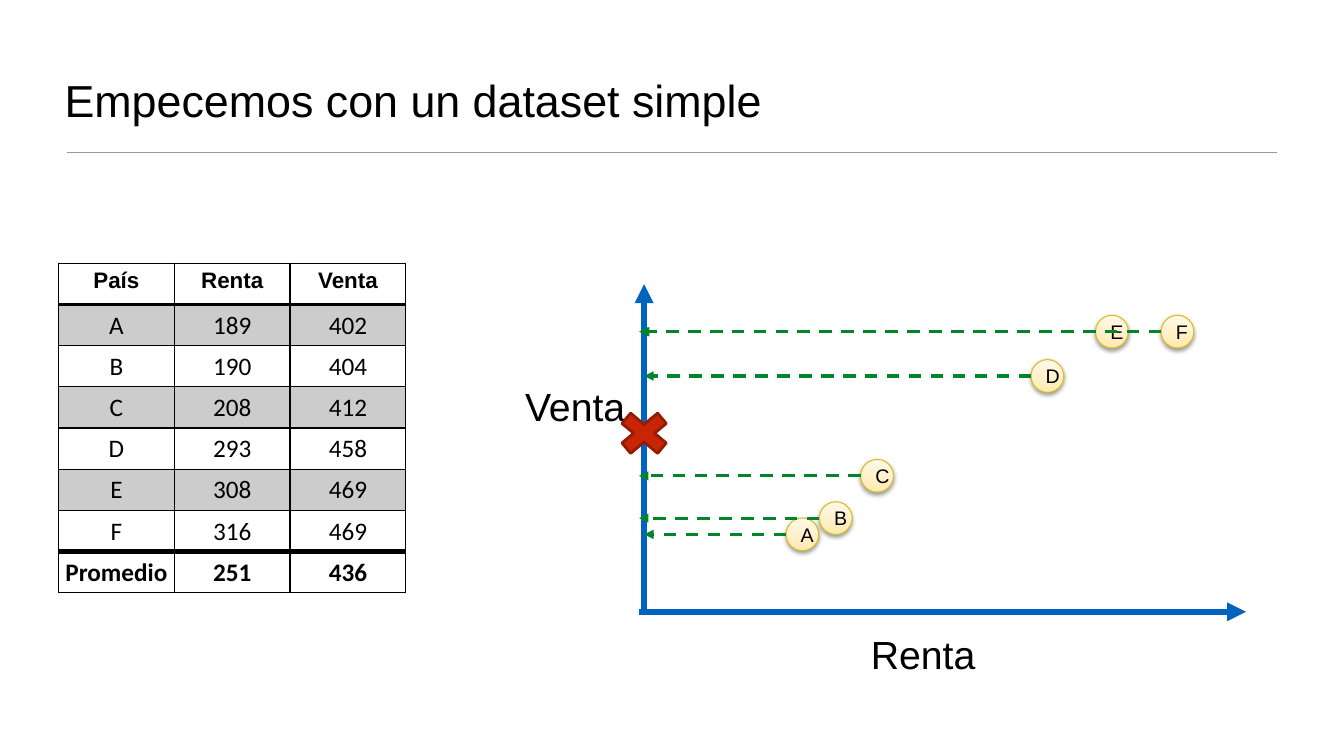
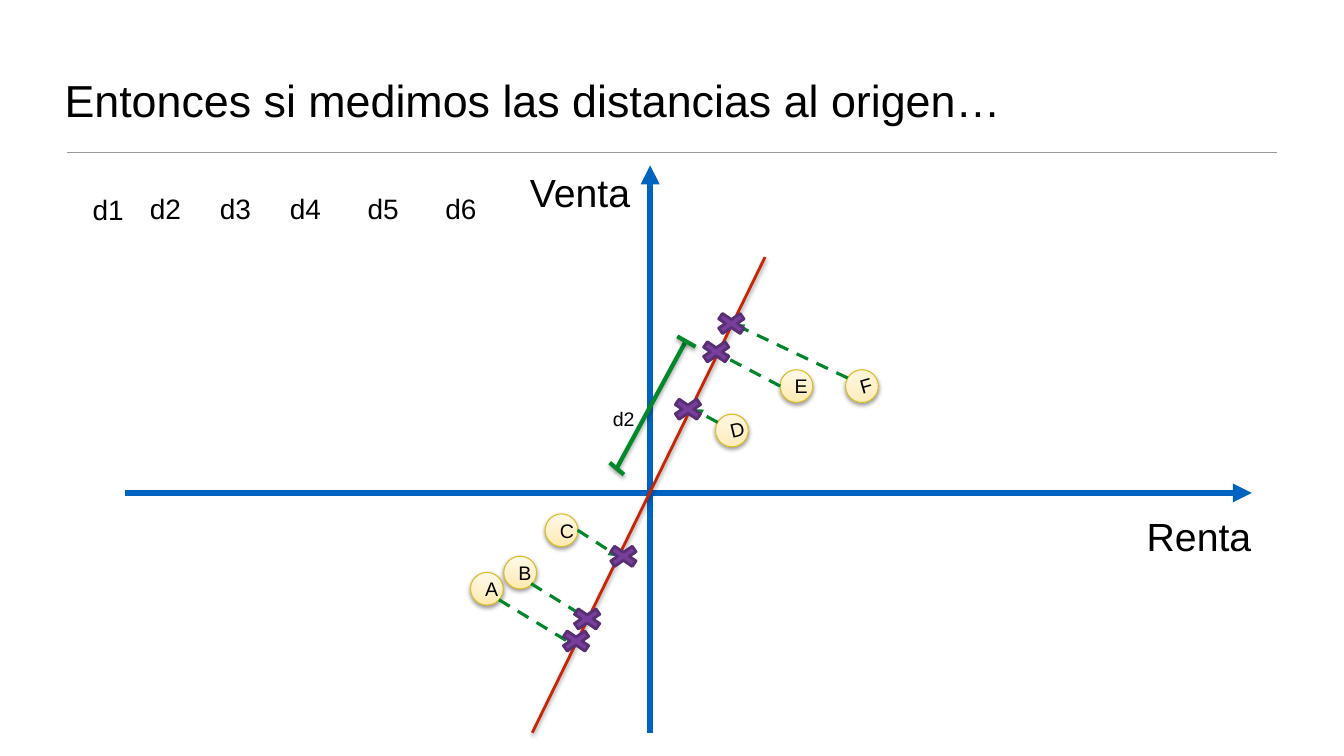
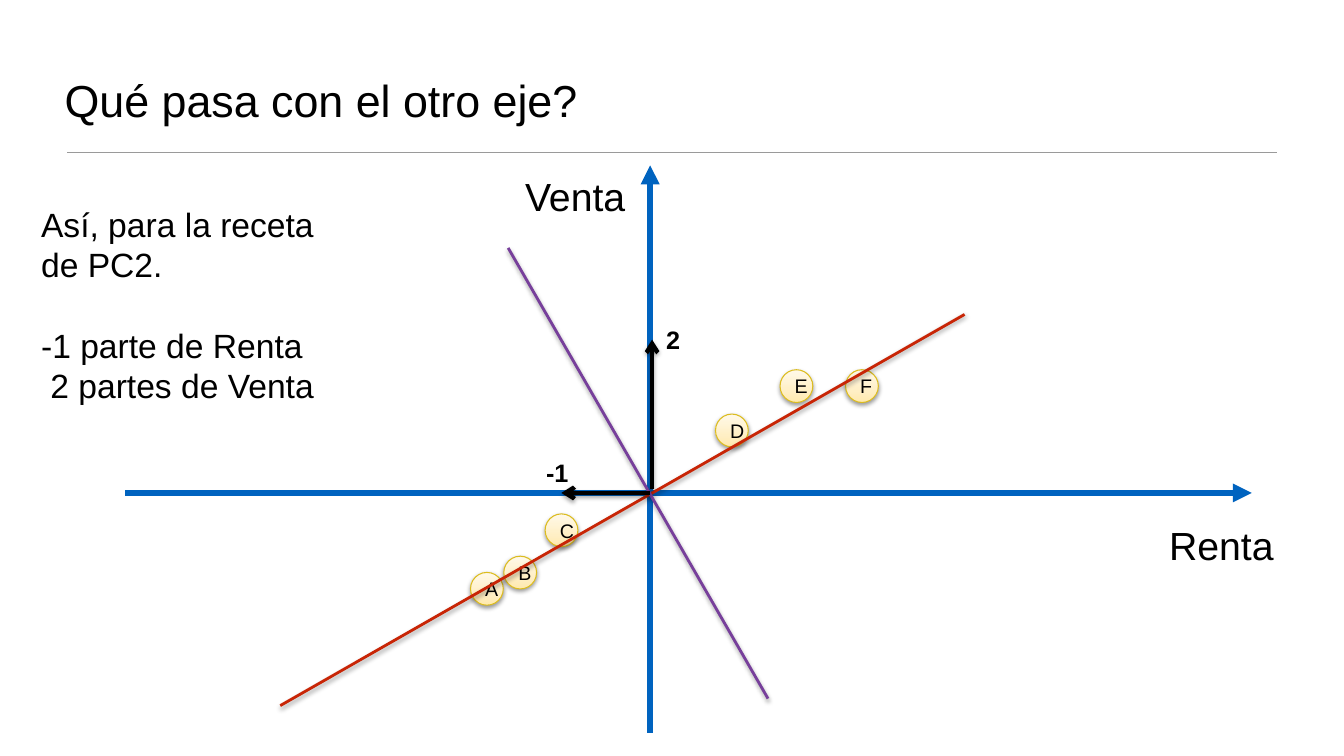
from lxml.etree import SubElement
from pptx import Presentation
from pptx.dml.color import RGBColor
from pptx.enum.dml import MSO_LINE
from pptx.enum.shapes import MSO_CONNECTOR, MSO_SHAPE
from pptx.enum.text import MSO_ANCHOR as Anchor, PP_ALIGN as Align
from pptx.oxml.ns import qn
from pptx.util import Pt

COLORS = {
    "text": "000000", "rule": "9A9A9A", "axis": "0063BF", "band": "CCCCCC",
    "projection": "00852A", "distance": "00882B",
    "red": "C82506", "dark_red": "941B04",
    "purple": "773F9B", "dark_purple": "582F73",
    "dot_edge": "DCBC1E",
}
DOT_GRADIENT = [(0, "FFE9AD"), (35, "FFEFC5"), (100, "FFF9E9")]
SOFT, STRONG = (1.6, 38), (1.8, 35)  # shadow distance in points, opacity in percent
DOT_SIZE = 23.4
ORIGIN = (464.4, 352.1)
MEAN = (689.8, 313.2)

# Centre of each country's dot, measured from the mean of the data
DOTS = {
    "A": (-116.6, 68.5), "B": (-92.8, 56.9), "C": (-63.3, 26.7),
    "D": (58.4, -44.6), "E": (104.5, -76.3), "F": (151.3, -76.3),
}
ROWS = [
    ("País", "Renta", "Venta"),
    ("A", "189", "402"), ("B", "190", "404"), ("C", "208", "412"),
    ("D", "293", "458"), ("E", "308", "469"), ("F", "316", "469"),
    ("Promedio", "251", "436"),
]


def rgb(name):
    return RGBColor.from_string(COLORS[name])


def write(frame, text, size=14, font="Arial", color="text", bold=False, align=None,
          spacing=None, tabs=(), first=True, before=0, indent=0):
    """Add one formatted paragraph to a text frame."""
    para = frame.paragraphs[0] if first else frame.add_paragraph()
    if tabs:
        tab_list = SubElement(para._p.get_or_add_pPr(), qn("a:tabLst"))
        for stop in tabs:
            SubElement(tab_list, qn("a:tab"), pos=str(Pt(stop)), algn="l")
    if indent:
        para._p.get_or_add_pPr().set("marL", str(Pt(indent)))
    if align is not None:
        para.alignment = align
    if spacing:
        para.line_spacing = Pt(spacing)
    if before:
        para.space_before = Pt(before)
    span = para.add_run()
    span.text = text
    span.font.size, span.font.name, span.font.bold = Pt(size), font, bold
    span.font.color.rgb = rgb(color)


def cast_shadow(effects, shadow):
    distance, opacity = shadow
    outer = SubElement(effects, qn("a:outerShdw"), blurRad=str(Pt(3.1)),
                       dist=str(Pt(distance)), dir="5400000", rotWithShape="0")
    black = SubElement(outer, qn("a:srgbClr"), val=COLORS["text"])
    SubElement(black, qn("a:alpha"), val=str(opacity * 1000))


def draw_borders(cell, top, bottom):
    properties = cell._tc.get_or_add_tcPr()
    for side, width in (("L", 1), ("R", 1), ("T", top), ("B", bottom)):
        edge = SubElement(properties, qn(f"a:ln{side}"), w=str(Pt(width)))
        fill = SubElement(edge, qn("a:solidFill"))
        SubElement(fill, qn("a:srgbClr"), val=COLORS["text"])


class Slides:
    def __init__(self):
        self.deck = Presentation()
        self.deck.slide_width, self.deck.slide_height = Pt(960), Pt(540)
        self.slide = None

    def start(self, title):
        self.slide = self.deck.slides.add_slide(self.deck.slide_layouts[6])
        self.line((48, 109), (912, 109), "rule", 1)
        frame = self.text(title, 41.8, 18, 876.2, 77, size=32, wrap=True)
        frame.vertical_anchor = Anchor.BOTTOM
        frame.margin_left = frame.margin_right = Pt(4.3)
        frame.margin_top = frame.margin_bottom = Pt(4.3)

    def text(self, text, left, top, width, height, wrap=False, **style):
        box = self.slide.shapes.add_textbox(Pt(left), Pt(top), Pt(width), Pt(height))
        box.text_frame.word_wrap = wrap
        write(box.text_frame, text, **style)
        return box.text_frame

    def line(self, start, end, color, width, dash=False, tail=None, shadow=None):
        link = self.slide.shapes.add_connector(
            MSO_CONNECTOR.STRAIGHT, *(Pt(value) for value in (*start, *end)))
        link.line.color.rgb = rgb(color)
        link.line.width = Pt(width)
        if dash:
            link.line.dash_style = MSO_LINE.DASH
        if tail:
            SubElement(link.line._get_or_add_ln(), qn("a:tailEnd"), type=tail)
        effects = SubElement(link._element.spPr, qn("a:effectLst"))
        if shadow:
            cast_shadow(effects, shadow)

    def axis(self, start, end):
        self.line(start, end, "axis", 4.5, tail="triangle")

    def projection(self, start, end):
        self.line(start, end, "projection", 2.25, dash=True, tail="triangle")

    def centred_shape(self, kind, center, width, height, edge, edge_width):
        x, y = center
        shape = self.slide.shapes.add_shape(
            kind, Pt(x - width / 2), Pt(y - height / 2), Pt(width), Pt(height))
        shape.shadow.inherit = False
        shape.line.color.rgb = rgb(edge)
        shape.line.width = Pt(edge_width)
        return shape

    def cross(self, center, width, height, color):
        shape = self.centred_shape(MSO_SHAPE.MATH_MULTIPLY, center, width, height,
                                   f"dark_{color}", 2)
        shape.fill.solid()
        shape.fill.fore_color.rgb = rgb(color)

    def dot(self, letter, center, rotation=0):
        shape = self.centred_shape(MSO_SHAPE.OVAL, center, DOT_SIZE, DOT_SIZE,
                                   "dot_edge", 0.75)
        shape.rotation = rotation
        shape.fill.gradient()
        shape.fill.gradient_angle = 90
        properties = shape._element.spPr
        stops = properties.find(".//" + qn("a:gsLst"))
        for stop in list(stops):
            stops.remove(stop)
        for position, color in DOT_GRADIENT:
            stop = SubElement(stops, qn("a:gs"), pos=str(position * 1000))
            SubElement(stop, qn("a:srgbClr"), val=color)
        cast_shadow(properties.find(qn("a:effectLst")), SOFT)
        shape.text_frame.word_wrap = True
        shape.text_frame.vertical_anchor = Anchor.MIDDLE
        write(shape.text_frame, letter, align=Align.CENTER)

    def dots(self, mean, rotations=None):
        for letter, (x, y) in DOTS.items():
            self.dot(letter, (mean[0] + x, mean[1] + y), (rotations or {}).get(letter, 0))

    def centred_axes(self):
        x, y = ORIGIN
        self.axis((89.3, y), (894.2, y))
        self.axis((x, 523.4), (x, 118.1))

    def axis_names(self, renta, venta):
        self.text("Renta", *renta, 90, 41, size=28)
        self.text("Venta", *venta, 88.6, 41, size=28)

    def table(self, rows, left, top, column_width, row_height):
        last = len(rows) - 1
        grid = self.slide.shapes.add_table(
            len(rows), len(rows[0]), Pt(left), Pt(top),
            Pt(column_width * len(rows[0])), Pt(row_height * len(rows))).table
        grid.first_row = grid.horz_banding = False
        rules = [1, 2] + [1] * (last - 2) + [4, 1]
        for column in grid.columns:
            column.width = Pt(column_width)
        for number, values in enumerate(rows):
            grid.rows[number].height = Pt(row_height)
            header = number == 0
            for cell, value in zip(grid.rows[number].cells, values):
                draw_borders(cell, rules[number], rules[number + 1])
                if number % 2 and number < last:
                    cell.fill.solid()
                    cell.fill.fore_color.rgb = rgb("band")
                else:
                    cell.fill.background()
                if not header:
                    cell.vertical_anchor = Anchor.MIDDLE
                    cell.margin_left = cell.margin_right = cell.margin_top = Pt(0.7)
                    cell.margin_bottom = Pt(0)
                write(cell.text_frame, value, size=16 if header else 18,
                      font="Arial" if header else "Calibri",
                      bold=number in (0, last), align=Align.CENTER)


def simple_dataset(slides):
    slides.start("Empecemos con un dataset simple")
    slides.table(ROWS, 41.8, 188, 82.7, 29.45)
    slides.axis((456.5, 437), (890, 437))
    slides.dots(MEAN)
    slides.axis((460.1, 437), (460.1, 203))
    slides.axis_names((615, 447), (368, 269.3))
    arrow_ends = {"A": 460.1, "B": 456.5, "C": 456.5, "D": 460.1, "E": 456.5, "F": 457.2}
    for letter, end in arrow_ends.items():
        x, y = DOTS[letter]
        height = MEAN[1] + y
        slides.projection((MEAN[0] + x - DOT_SIZE / 2, height), (end, height))
    slides.cross((460.1, 309.5), 49, 41, "red")


def distances(slides):
    slides.start("Entonces si medimos las distancias al origen…")
    slides.dots(ORIGIN, {"D": 346.3, "F": 343.9})
    slides.centred_axes()
    slides.axis_names((812, 362.2), (371.5, 116.6))
    slides.line((546.5, 183.6), (380.2, 523.4), "red", 2, shadow=SOFT)
    projections = [
        ((605.5, 270), (524.9, 231.8)), ((557.3, 275.8), (513.4, 252.7)),
        ((512.6, 301.7), (495.4, 292.3)), ((412.6, 378.7), (441.4, 397.4)),
        ((379.4, 416.9), (417.6, 440.6)), ((356.4, 428.4), (411.1, 461.5)),
    ]
    for start, end in projections:
        slides.projection(start, end)
    for center in [(522.4, 231.1), (511.6, 251.3), (491.4, 292.3),
                   (445.3, 397.4), (419.4, 442.1), (411.5, 457.9)]:
        slides.cross(center, 29.5, 20.2, "purple")
    for start, end in [((490.3, 242.9), (440.6, 334.4)),
                       ((445.7, 339), (435.5, 330.5)),
                       ((496.8, 247.7), (483.8, 240.3))]:
        slides.line(start, end, "distance", 3, shadow=STRONG)
    slides.text("d2", 430.6, 287.3, 30.2, 24.5)
    slides.text("d1", 59, 134, 36.7, 31.7, size=20)
    slides.text("d2\td3\td4\td5\td6", 100, 133.3, 260, 31.7, size=20, wrap=True,
                tabs=(50, 100, 155.5, 211))


def other_axis(slides):
    slides.start("Qué pasa con el otro eje?")
    slides.dots(ORIGIN)
    slides.centred_axes()
    slides.axis_names((828, 368.6), (368, 119.5))
    slides.line((689, 224.6), (200.2, 504), "red", 2, shadow=SOFT)
    slides.line((363, 177.1), (548.6, 499), "purple", 2, shadow=SOFT)
    for start, end in [(ORIGIN, (401, 352.1)), ((465.8, 349.2), (465.8, 242.6))]:
        slides.line(start, end, "text", 3, tail="arrow", shadow=STRONG)
    slides.text("2", 468.7, 228.2, 24.5, 29, size=18, bold=True)
    slides.text("-1", 383, 323.3, 31, 29, size=18, bold=True, wrap=True)
    recipe = {"size": 24, "spacing": 28.8}
    frame = slides.text("Así, para la receta de PC2.", 22.3, 141.8, 225.4, 152.6,
                        wrap=True, **recipe)
    write(frame, "-1 parte de Renta", first=False, before=28.8, **recipe)
    write(frame, "2 partes de Venta", first=False, indent=6.67, **recipe)


def main():
    slides = Slides()
    simple_dataset(slides)
    distances(slides)
    other_axis(slides)
    slides.deck.save("out.pptx")


if __name__ == "__main__":
    main()
